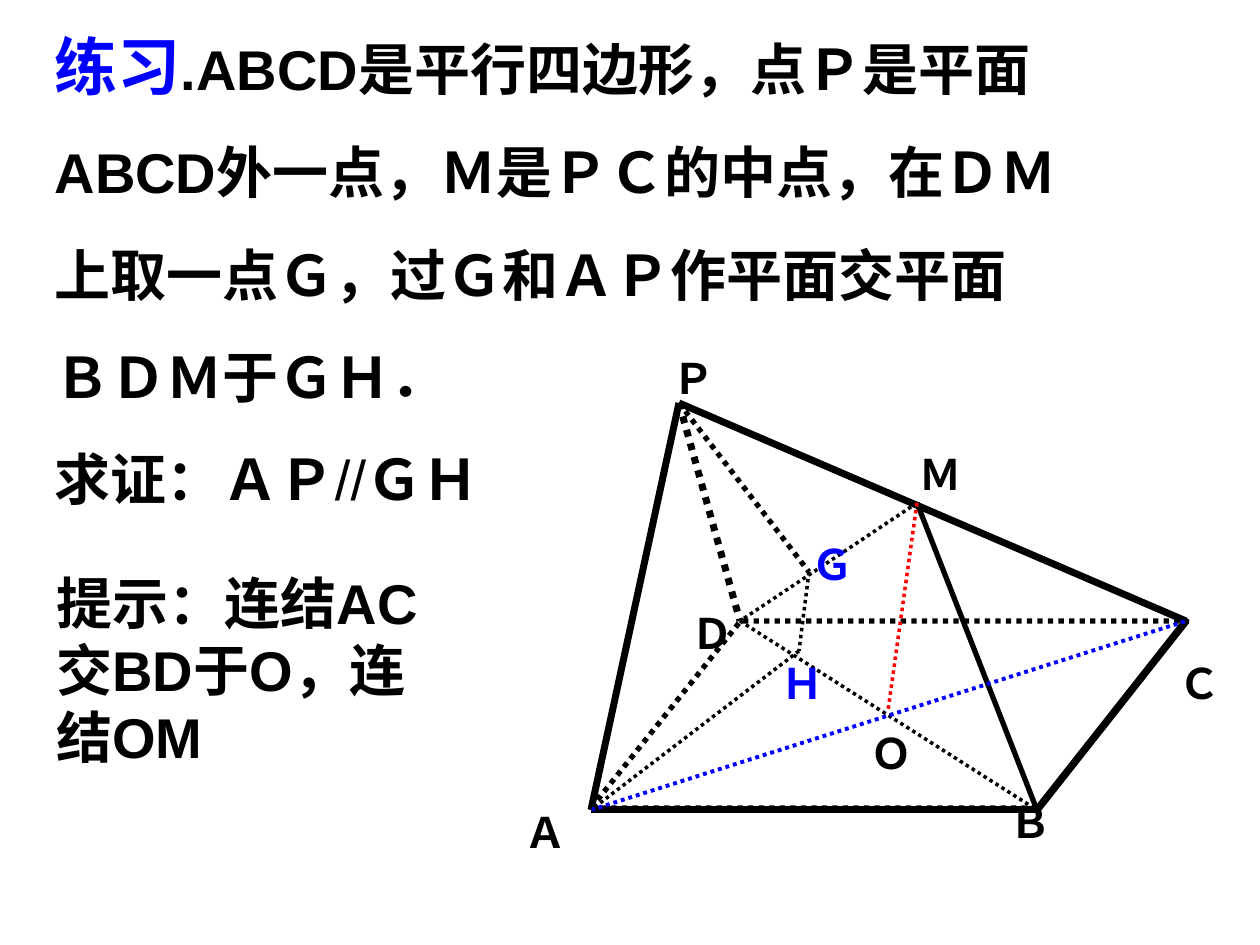
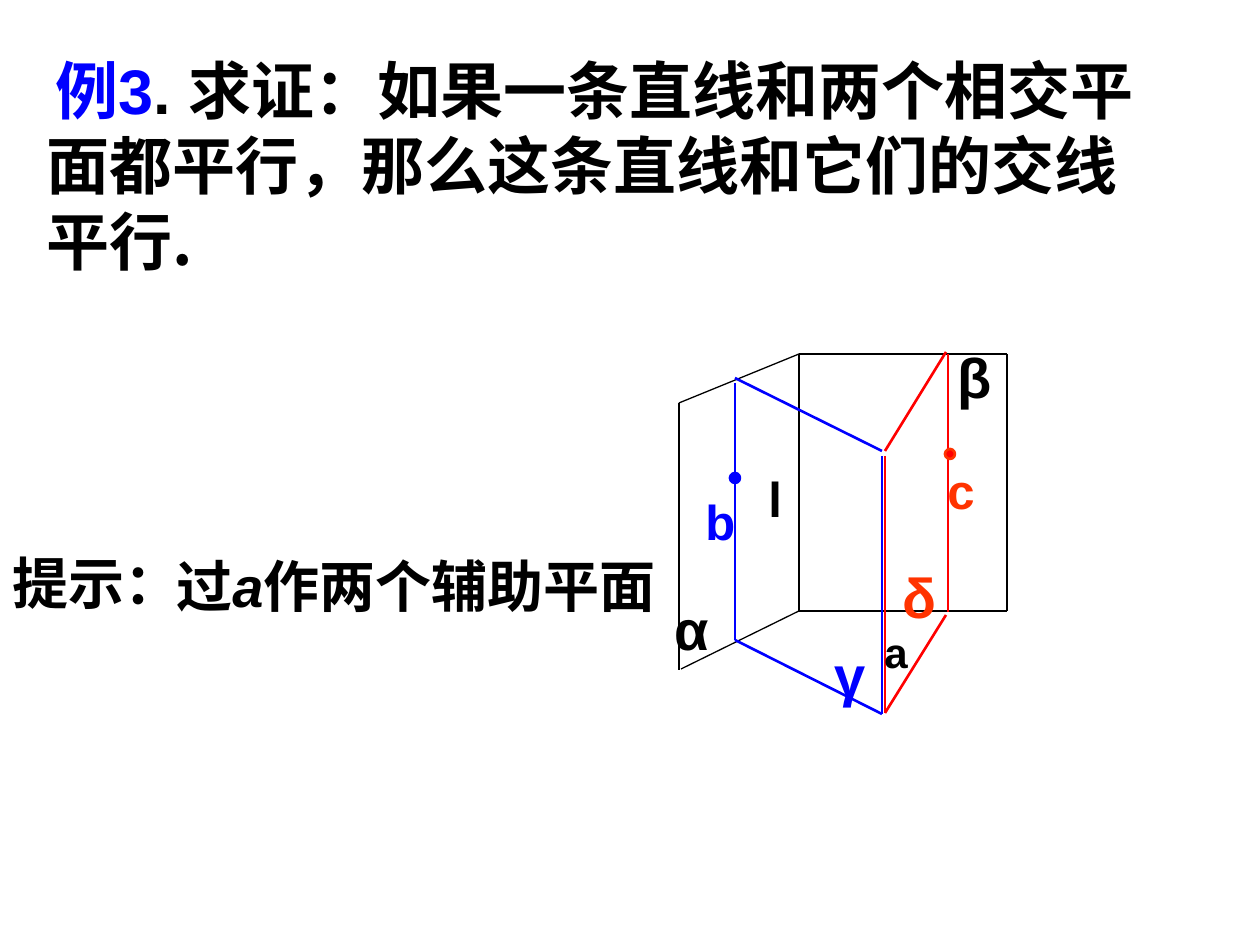
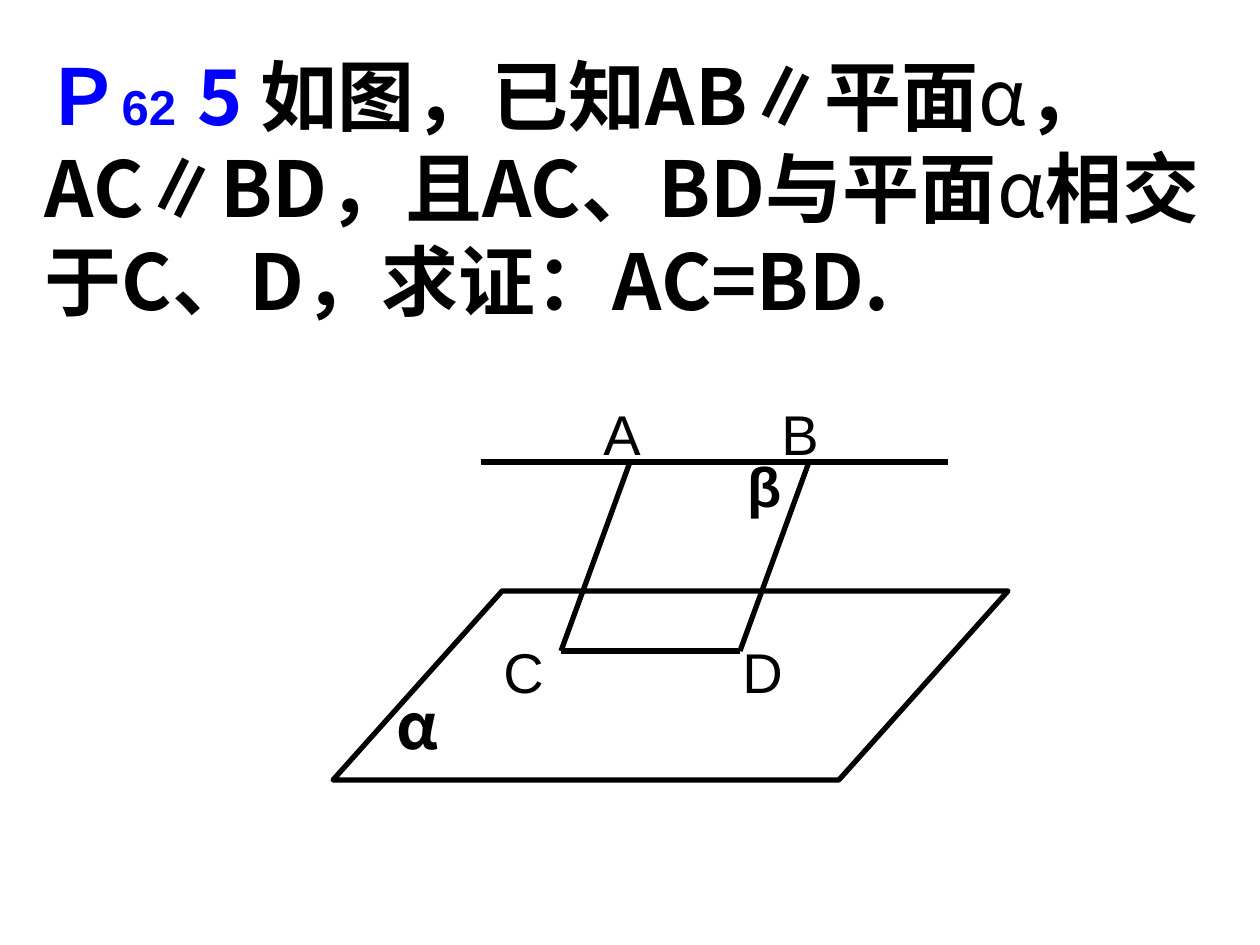
"""Build three geometry slides on lines parallel to planes."""
from dataclasses import dataclass

from lxml.etree import SubElement
from pptx import Presentation
from pptx.dml.color import RGBColor
from pptx.enum.dml import MSO_LINE
from pptx.enum.lang import MSO_LANGUAGE_ID
from pptx.enum.shapes import MSO_CONNECTOR, MSO_SHAPE
from pptx.enum.text import MSO_ANCHOR, MSO_AUTO_SIZE, PP_ALIGN
from pptx.oxml.ns import qn
from pptx.util import Pt

PX = 914400 / 126


@dataclass(frozen=True)
class Theme:
    black = RGBColor(0x00, 0x00, 0x00)
    blue = RGBColor(0x00, 0x00, 0xFF)
    red = RGBColor(0xFF, 0x00, 0x00)
    orange = RGBColor(0xFF, 0x33, 0x00)
    latin = "Arial"
    chinese = "Noto Sans CJK SC"
    greek = "Noto Sans CJK JP"
    vertex = Pt(24)
    line_name = Pt(28)
    body = Pt(32)
    heading = Pt(36)
    large = Pt(44)


theme = Theme()


def add_text(slide, text, box, size, color=theme.black, bold=True, face=theme.latin):
    frame = slide.shapes.add_textbox(*[round(v * PX) for v in box]).text_frame
    frame.word_wrap = True
    paragraph = frame.paragraphs[0]
    paragraph.text = text
    font = paragraph.font
    font.size, font.bold, font.name = size, bold, face
    font.color.rgb = color
    font.language_id = MSO_LANGUAGE_ID.SIMPLIFIED_CHINESE
    return paragraph


def add_line(slide, start, end, weight, color=theme.black, dash=None):
    ends = [round(v * PX) for v in (*start, *end)]
    line = slide.shapes.add_connector(MSO_CONNECTOR.STRAIGHT, *ends)
    line.line.color.rgb = color
    line.line.width = Pt(weight)
    line.line.dash_style = dash
    SubElement(line._element.spPr, qn("a:effectLst"))


deck = Presentation()
deck.slide_width, deck.slide_height = round(1260 * PX), round(945 * PX)

greek_alpha = ("α", {"name": theme.greek, "bold": False})
statements = [
    ((42, 21, 1187, 498), theme.body, theme.latin, 0, [
        [("练习", {"size": theme.heading, "color": theme.blue}),
         (".ABCD是平行四边形，点Ｐ是平面", {})],
        [("ABCD外一点，Ｍ是ＰＣ的中点，在ＤＭ", {})],
        [("上取一点Ｇ，过Ｇ和ＡＰ作平面交平面", {})],
        [("ＢＤＭ于ＧＨ．", {})],
        [("求证：ＡＰ", {}), ("//", {"bold": False}), ("ＧＨ", {})],
    ]),
    ((34, 45, 1152, 239), theme.heading, theme.chinese, 9, [
        [("例3", {"color": theme.blue, "name": theme.latin}),
         (". ", {"name": theme.latin}),
         ("求证：如果一条直线和两个相交平面都平行，那么这条直线和它们的交线平行.", {})],
    ]),
    ((32, 42, 1207, 290), theme.large, theme.chinese, 0, [
        [("Ｐ", {"color": theme.blue, "name": theme.latin}),
         ("62", {"color": theme.blue, "name": theme.latin, "size": theme.line_name}),
         (" ", {"name": theme.latin}),
         ("5 ", {"color": theme.blue}),
         ("如图，已知AB∥平面", {}), greek_alpha,
         ("，AC∥BD，且AC、BD与平面", {}), greek_alpha,
         ("相交于C、D，求证：AC=BD.", {})],
    ]),
]

for box, size, face, indent, paragraphs in statements:
    slide = deck.slides.add_slide(deck.slide_layouts[5])
    title = slide.shapes.title
    title.left, title.top, title.width, title.height = [round(v * PX) for v in box]
    frame = title.text_frame
    frame.word_wrap = True
    frame.auto_size = MSO_AUTO_SIZE.NONE
    frame.vertical_anchor = MSO_ANCHOR.TOP
    for number, runs in enumerate(paragraphs):
        paragraph = frame.add_paragraph() if number else frame.paragraphs[0]
        paragraph.alignment = PP_ALIGN.LEFT
        paragraph.space_before = Pt(20 if number else 0)
        paragraph._p.get_or_add_pPr().set("indent", str(round(indent * PX)))
        font = paragraph.font
        font.size, font.bold, font.name = size, True, face
        font.color.rgb = theme.black
        for text, changes in runs:
            run = paragraph.add_run()
            run.text = text
            run.font.language_id = MSO_LANGUAGE_ID.SIMPLIFIED_CHINESE
            for name, value in changes.items():
                if name == "color":
                    run.font.color.rgb = value
                else:
                    setattr(run.font, name, value)

pyramid, planes, parallels = deck.slides

for slide, box, slant, dash in [
    (pyramid, (591, 621, 596, 187), 0.8, MSO_LINE.ROUND_DOT),
    (parallels, (333, 591, 675, 189), 0.895, None),
]:
    base = slide.shapes.add_shape(MSO_SHAPE.PARALLELOGRAM, *[round(v * PX) for v in box])
    base.adjustments[0] = slant
    base.fill.background()
    base.line.color.rgb = theme.black
    base.line.width = Pt(3)
    base.line.dash_style = dash
    base.shadow.inherit = False

points = {
    "P": (679, 403), "A": (591, 810), "B": (1037, 810), "C": (1186, 621), "D": (740, 621),
    "M": (917, 503), "G": (809, 572), "H": (799, 651), "O": (888, 711),
}
for edge, weight in [("PA", 4), ("PC", 4), ("MB", 3), ("AB", 4), ("CB", 4.25)]:
    add_line(pyramid, points[edge[0]], points[edge[1]], weight)
for edge, weight, color in [
    ("PD", 4, theme.black), ("MD", 2, theme.black), ("DB", 2, theme.black),
    ("PG", 3, theme.black), ("AC", 2.25, theme.blue), ("MO", 2, theme.red),
    ("GH", 2, theme.black), ("HA", 2, theme.black),
]:
    add_line(pyramid, points[edge[0]], points[edge[1]], weight, color, MSO_LINE.ROUND_DOT)
for vertex, left, top, width, color in [
    ("Ｐ", 660, 346, 100, theme.black), ("Ａ", 512, 800, 129, theme.black),
    ("Ｂ", 997, 790, 89, theme.black), ("Ｃ", 1166, 651, 60, theme.black),
    ("Ｄ", 679, 601, 50, theme.black), ("Ｍ", 907, 442, 79, theme.black),
    ("Ｇ", 799, 532, 50, theme.blue), ("Ｈ", 769, 651, 79, theme.blue),
    ("Ｏ", 858, 721, 69, theme.black),
]:
    add_text(pyramid, vertex, (left, top, width, 63), theme.vertex, color)
add_text(pyramid, "提示：连结AC交BD于O，连结OM", (44, 562, 392, 214), theme.body)

for color, weight, segments in [
    (theme.black, 0.75, [
        ((679, 403), (679, 670)), ((679, 403), (799, 354)), ((799, 354), (799, 611)),
        ((681, 669), (799, 611)), ((799, 354), (1007, 354)), ((1007, 354), (1007, 611)),
        ((799, 611), (1007, 611))]),
    (theme.blue, 1.5, [
        ((735, 378), (882, 451)), ((735, 640), (882, 714)),
        ((735, 383), (735, 640)), ((882, 456), (882, 714))]),
    (theme.red, 1.5, [
        ((946, 352), (885, 451)), ((946, 615), (885, 713)),
        ((885, 456), (885, 713)), ((948, 354), (948, 612))]),
]:
    for start, end in segments:
        add_line(planes, start, end, weight, color)
for name, left, top, size, color in [
    ("α", 662, 588, theme.body, theme.black), ("β", 945, 336, theme.body, theme.black),
    ("γ", 822, 634, theme.body, theme.blue), ("δ", 890, 556, theme.body, theme.orange),
    ("a", 872, 620, theme.vertex, theme.black), ("l", 756, 462, theme.line_name, theme.black),
    ("b", 693, 485, theme.line_name, theme.blue), ("c", 935, 454, theme.line_name, theme.orange),
]:
    add_text(planes, name, (left, top, 84, 81), size, color)
for left, top, fill, outline in [
    (730, 473, theme.blue, theme.blue), (945, 449, theme.red, theme.orange),
]:
    dot = planes.shapes.add_shape(
        MSO_SHAPE.OVAL, *[round(v * PX) for v in (left, top, 10, 10)])
    dot.fill.solid()
    dot.fill.fore_color.rgb = fill
    dot.line.color.rgb = outline
    dot.line.width = Pt(1.5)
    dot.shadow.inherit = False
add_text(planes, "提示：", (0, 542, 200, 81), theme.body)
hint = add_text(planes, "过", (164, 532, 529, 174), theme.body)
hint.line_spacing = 1.2
for text, italic in [("a", True), ("作两个辅助平面", False)]:
    run = hint.add_run()
    run.text = text
    run.font.italic = italic

for start, end in [
    ((561, 651), (740, 651)), ((481, 462), (948, 462)),
    ((630, 462), (561, 651)), ((809, 462), (740, 651)),
]:
    add_line(parallels, start, end, 3)
for vertex, left, top in [("A", 591, 393), ("B", 769, 393), ("C", 491, 631), ("D", 730, 631)]:
    add_text(parallels, vertex, (left, top, 69, 81), theme.body, bold=False)
add_text(parallels, "α", (384, 680, 63, 88), theme.heading, face=theme.greek)
add_text(parallels, "β", (735, 445, 84, 81), theme.body)

deck.save("out.pptx")
